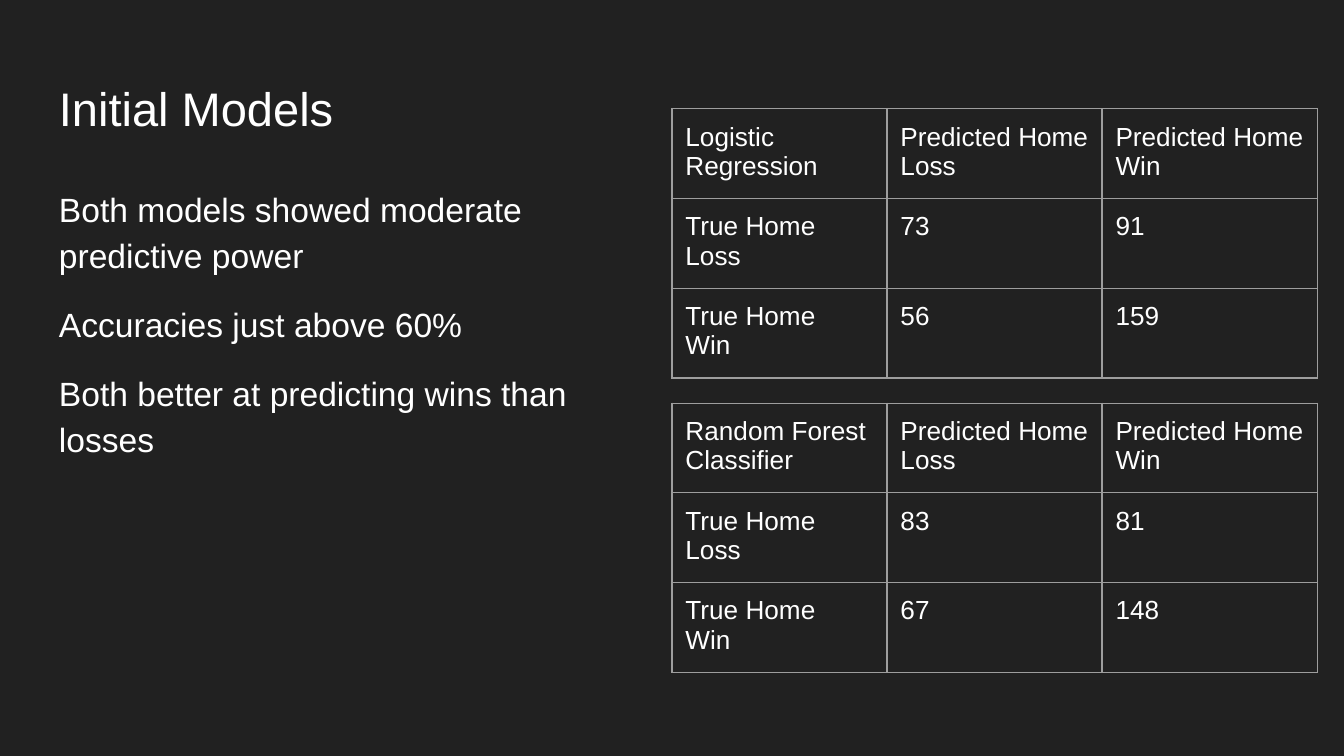
from dataclasses import dataclass

import lxml.etree
import pptx
import pptx.dml.color
import pptx.oxml.ns
import pptx.util

SLIDE_WIDTH = 10
SLIDE_HEIGHT = SLIDE_WIDTH * 9 / 16
MARGIN = 0.34
INSET = pptx.util.Inches(0.1)
TABLE_LEFT = SLIDE_WIDTH / 2
COLUMN_WIDTH, ROW_HEIGHT = 1.6, 0.62
FONT = "Arial"
BACKGROUND, TEXT, BORDER = "212121", "FFFFFF", "9E9E9E"


@dataclass
class ConfusionMatrix:
    model: str
    top: float
    true_loss: tuple[str, str]
    true_win: tuple[str, str]

    def rows(self) -> list[tuple[str, ...]]:
        return [
            (self.model, "Predicted Home Loss", "Predicted Home Win"),
            ("True Home Loss", *self.true_loss),
            ("True Home\nWin", *self.true_win),
        ]


MATRICES = [
    ConfusionMatrix("Logistic Regression", 0.81, ("73", "91"), ("56", "159")),
    ConfusionMatrix("Random Forest Classifier", 3, ("83", "81"), ("67", "148")),
]
FINDINGS = [
    "Both models showed moderate predictive power",
    "Accuracies just above 60%",
    "Both better at predicting wins than losses",
]


def color(value: str) -> pptx.dml.color.RGBColor:
    return pptx.dml.color.RGBColor.from_string(value)


def write(frame, lines: list[str], size: float) -> None:
    """Fill a text frame with one paragraph per line.

    The paragraph end gets the same size, so that it does not heighten the line.
    """
    for index, line in enumerate(lines):
        paragraph = frame.add_paragraph() if index else frame.paragraphs[0]
        run = paragraph.add_run()
        run.text = line
        run.font.name = FONT
        run.font.size = pptx.util.Pt(size)
        run.font.color.rgb = color(TEXT)
        lxml.etree.SubElement(paragraph._p, pptx.oxml.ns.qn("a:endParaRPr"),
                              sz=str(round(size * 100)))


def add_text(slide, left: float, top: float, width: float, height: float,
             lines: list[str], size: float):
    box = slide.shapes.add_textbox(*map(pptx.util.Inches, (left, top, width, height)))
    frame = box.text_frame
    frame.word_wrap = True
    frame.margin_left = frame.margin_right = INSET
    frame.margin_top = frame.margin_bottom = INSET
    write(frame, lines, size)
    return frame


def add_borders(cell) -> None:
    properties = cell._tc.get_or_add_tcPr()
    qualified = pptx.oxml.ns.qn
    for index, side in enumerate(("lnL", "lnR", "lnT", "lnB")):
        line = lxml.etree.Element(qualified(f"a:{side}"), w=str(pptx.util.Pt(0.75)))
        fill = lxml.etree.SubElement(line, qualified("a:solidFill"))
        lxml.etree.SubElement(fill, qualified("a:srgbClr"), val=BORDER)
        properties.insert(index, line)


def add_matrix(slide, matrix: ConfusionMatrix) -> None:
    rows = matrix.rows()
    row_count, column_count = len(rows), len(rows[0])
    table = slide.shapes.add_table(
        row_count, column_count, *map(pptx.util.Inches, (
            TABLE_LEFT, matrix.top,
            column_count * COLUMN_WIDTH, row_count * ROW_HEIGHT)),
    ).table
    table.first_row = table.horz_banding = False
    for row_index, row in enumerate(rows):
        for column_index, text in enumerate(row):
            cell = table.cell(row_index, column_index)
            cell.margin_left = cell.margin_right = INSET
            cell.margin_top = cell.margin_bottom = INSET
            cell.fill.background()
            add_borders(cell)
            write(cell.text_frame, text.split("\n"), 14)


def main() -> None:
    presentation = pptx.Presentation()
    presentation.slide_width = pptx.util.Inches(SLIDE_WIDTH)
    presentation.slide_height = pptx.util.Inches(SLIDE_HEIGHT)
    slide = presentation.slides.add_slide(presentation.slide_layouts[6])
    slide.background.fill.solid()
    slide.background.fill.fore_color.rgb = color(BACKGROUND)

    add_text(slide, MARGIN, 0.49, SLIDE_WIDTH - 2 * MARGIN, 0.63,
             ["Initial Models"], 25.2)
    findings = add_text(slide, MARGIN, 1.26, 4.39, 3.74, FINDINGS, 18)
    for index, paragraph in enumerate(findings.paragraphs):
        paragraph.line_spacing = 1.15
        paragraph.space_before = pptx.util.Pt(12 if index else 0)
    findings.paragraphs[-1].space_after = pptx.util.Pt(12)

    for matrix in MATRICES:
        add_matrix(slide, matrix)
    presentation.save("out.pptx")


if __name__ == "__main__":
    main()
